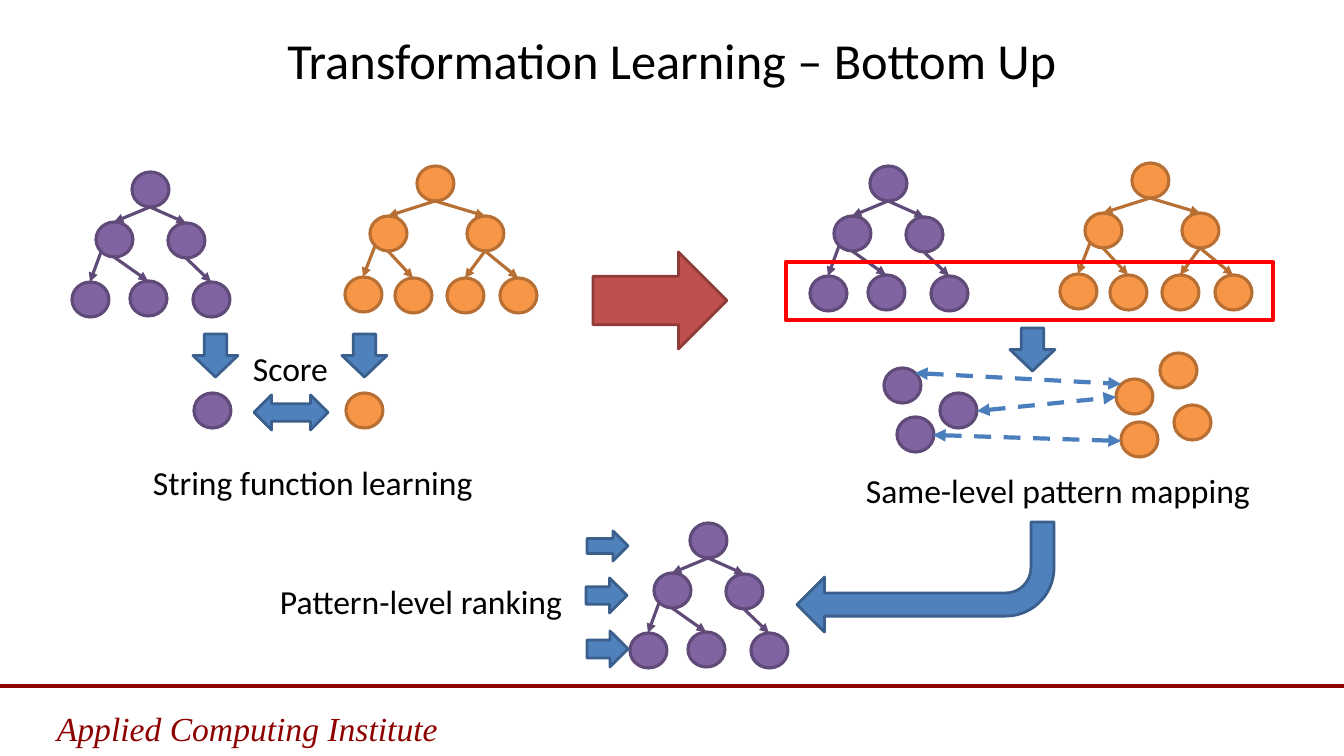
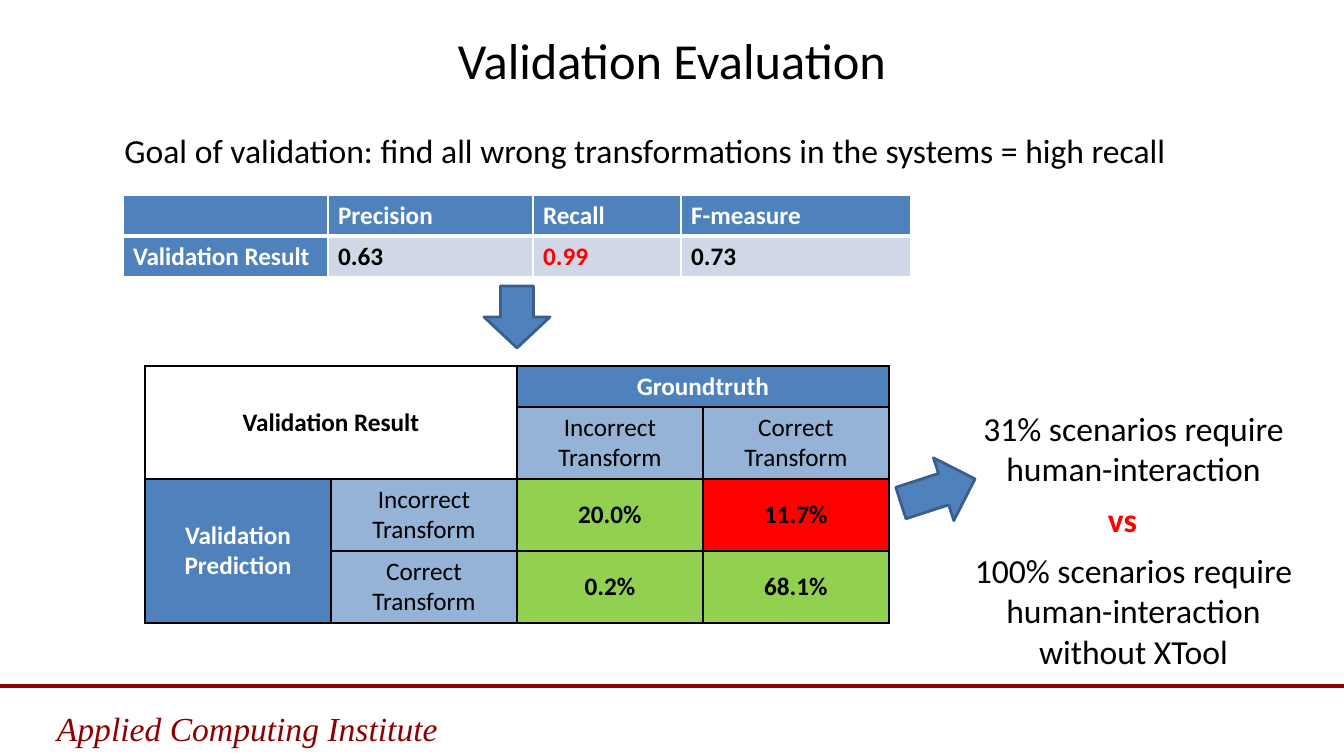
from lxml.etree import SubElement
from pptx import Presentation
from pptx.dml.color import RGBColor
from pptx.enum.dml import MSO_LINE
from pptx.enum.shapes import MSO_CONNECTOR, MSO_SHAPE as Preset
from pptx.enum.text import MSO_ANCHOR as Anchor, PP_ALIGN as Align
from pptx.oxml.ns import qn
from pptx.util import Pt

PX = 9071  # EMU per px
WIDTH, HEIGHT = 1344, 756
NODE_W, NODE_H = 37, 35
BLACK, WHITE, RED, MAROON = "000000", "FFFFFF", "FF0000", "8E0000"
PURPLE, ORANGE = ("8064A2", "5F4A78", 2.25), ("F79646", "B76F34", 2.25)
BLUE, BRICK = ("4F81BD", "3A5F8C", 2), ("C0504D", "8E3B39", 2)
DASH_BLUE = "4B7EBC"
rgb = RGBColor.from_string


def add_shape(slide, preset, box, look):
    """Draw a preset shape; look is fill (or None), line colour, line width."""
    shape = slide.shapes.add_shape(preset, *[n * PX for n in box])
    shape.shadow.inherit = False
    fill, line, width = look
    if fill:
        shape.fill.solid()
        shape.fill.fore_color.rgb = rgb(fill)
    else:
        shape.fill.background()
    shape.line.color.rgb = rgb(line)
    shape.line.width = Pt(width)
    return shape


def write(frame, text, size=24, color=BLACK, align=Align.LEFT,
          bold=False, italic=False, font="Calibri"):
    paragraph = frame.paragraphs[0]
    paragraph.alignment = align
    run = paragraph.add_run()
    run.text = text
    run.font.name = font
    run.font.size = Pt(size)
    run.font.bold = bold
    run.font.italic = italic
    run.font.color.rgb = rgb(color)


presentation = Presentation()
presentation.slide_width = WIDTH * PX
presentation.slide_height = HEIGHT * PX
blank = presentation.slide_layouts[6]
learning, evaluation = [presentation.slides.add_slide(blank) for _ in range(2)]

# Text boxes: slide, box, text, style
title_style = dict(size=36, align=Align.CENTER)
footer_style = dict(color=MAROON, italic=True, font="Times New Roman")
centred = dict(align=Align.CENTER)
texts = [
    (learning, (67, 24, 1210, 71), "Transformation Learning – Bottom Up", title_style),
    (learning, (856, 465, 430, 50), "Same-level pattern mapping", {}),
    (learning, (270, 576, 310, 50), "Pattern-level ranking", {}),
    (learning, (143, 457, 360, 50), "String function learning", {}),
    (learning, (243, 343, 110, 50), "Score", {}),
    (evaluation, (67, 24, 1210, 71), "Validation Evaluation", title_style),
    (evaluation, (84, 125, 1122, 50),
     "Goal of validation: find all wrong transformations in the systems = high recall",
     centred),
    (evaluation, (961, 403, 345, 92), "31% scenarios require human-interaction", centred),
    (evaluation, (950, 494, 345, 50), "vs", dict(centred, color=RED, bold=True)),
    (evaluation, (961, 545, 345, 132),
     "100% scenarios require human-interaction without XTool", centred),
]
for slide in (learning, evaluation):
    texts.append((slide, (47, 703, 662, 51), "Applied Computing Institute", footer_style))
for slide, box, text, style in texts:
    frame = slide.shapes.add_textbox(*[n * PX for n in box]).text_frame
    frame.word_wrap = True
    frame.vertical_anchor = Anchor.MIDDLE if style is title_style else Anchor.TOP
    write(frame, text, **style)

# Trees: node offsets from the root, then (parent, child) edges
purple_tree = (PURPLE,
               [(0, 0), (-36, 50), (36, 51), (-60, 110), (-2, 109), (61, 110)],
               [(0, 1), (0, 2), (1, 3), (1, 4), (2, 5)])
orange_tree = (ORANGE,
               [(0, 0), (-47, 50), (50, 50), (-72, 111), (-22, 112), (30, 112), (83, 112)],
               [(0, 1), (0, 2), (1, 3), (1, 4), (2, 5), (2, 6)])
roots = [(132, 172, purple_tree), (417, 166, orange_tree), (870, 166, purple_tree),
         (1132, 163, orange_tree), (690, 523, purple_tree)]

# Lines: slide, start, end, colour, width, arrowheads
lines = [(slide, (0, 686), (WIDTH, 686), MAROON, 2.25, ())
         for slide in (learning, evaluation)]
for root_x, root_y, (look, offsets, edges) in roots:
    nodes = [(root_x + dx, root_y + dy) for dx, dy in offsets]
    for x, y in nodes:
        add_shape(learning, Preset.OVAL, (x, y, NODE_W, NODE_H), look)
    for parent, child in edges:
        x, y = nodes[parent]
        # The outermost left edge leaves its parent from the lower left side
        start = (x + 5, y + 30) if child == 3 else (x + NODE_W // 2, y + NODE_H)
        end = (nodes[child][0] + NODE_W // 2, nodes[child][1])
        lines.append((learning, start, end, look[1], look[2], ("tailEnd",)))

lone_nodes = [
    (PURPLE, [(194, 393), (884, 368), (940, 393), (897, 417)]),
    (ORANGE, [(346, 393), (1116, 379), (1174, 405), (1121, 422), (1160, 353)]),
]
for look, places in lone_nodes:
    for x, y in places:
        add_shape(learning, Preset.OVAL, (x, y, NODE_W, NODE_H), look)

for start, end in [((977, 411), (1116, 397)), ((933, 435), (1121, 441)),
                   ((915, 373), (1121, 384))]:
    lines.append((learning, start, end, DASH_BLUE, 3, ("headEnd", "tailEnd")))

for slide, start, end, color, width, heads in lines:
    connector = slide.shapes.add_connector(
        MSO_CONNECTOR.STRAIGHT, *[n * PX for n in start + end])
    connector.line.color.rgb = rgb(color)
    connector.line.width = Pt(width)
    if color == DASH_BLUE:
        connector.line.dash_style = MSO_LINE.DASH
    properties = connector.element.spPr
    for head in heads:
        SubElement(properties.find(qn("a:ln")), qn("a:" + head), type="triangle")
    SubElement(properties, qn("a:effectLst"))

# Block arrows and the leaf-level frame
for preset, box, look in [
    (Preset.DOWN_ARROW, (193, 334, 45, 43), BLUE),
    (Preset.DOWN_ARROW, (342, 334, 45, 43), BLUE),
    (Preset.DOWN_ARROW, (1010, 328, 45, 43), BLUE),
    (Preset.LEFT_RIGHT_ARROW, (254, 395, 74, 35), BLUE),
    (Preset.RIGHT_ARROW, (593, 252, 134, 97), BRICK),
    (Preset.RIGHT_ARROW, (587, 531, 41, 30), BLUE),
    (Preset.RIGHT_ARROW, (586, 578, 41, 35), BLUE),
    (Preset.RIGHT_ARROW, (587, 631, 41, 36), BLUE),
    (Preset.RECTANGLE, (786, 262, 487, 58), (None, RED, 3)),
]:
    add_shape(learning, preset, box, look)

return_arrow = add_shape(learning, Preset.BENT_ARROW, (797, 522, 257, 110), BLUE)
return_arrow.rotation = 180
for index, value in enumerate((0.21, 0.25, 0.25, 0.44)):
    return_arrow.adjustments[index] = value

add_shape(evaluation, Preset.DOWN_ARROW, (484, 286, 66, 62), BLUE)
result_arrow = add_shape(evaluation, Preset.RIGHT_ARROW, (899, 458, 78, 66), BLUE)
result_arrow.rotation = 342

# Tables: cell styles are fill, text colour, bold
HEAD, SUB = ("4F81BD", WHITE, True), ("95B3D7", BLACK, False)
CORNER, GOOD, BAD = (WHITE, BLACK, True), ("92D050", BLACK, True), (RED, BLACK, True)
SCORE, TOP_SCORE = ("D0D8E8", BLACK, True), ("D0D8E8", RED, True)
scores = [
    [("", HEAD), ("Precision", HEAD), ("Recall", HEAD), ("F-measure", HEAD)],
    [("Validation Result", HEAD), ("0.63", SCORE), ("0.99", TOP_SCORE), ("0.73", SCORE)],
]
confusion = [
    [("Validation Result", CORNER), None, ("Groundtruth", HEAD), None],
    [None, None, ("Incorrect Transform", SUB), ("Correct Transform", SUB)],
    [("Validation Prediction", HEAD), ("Incorrect Transform", SUB),
     ("20.0%", GOOD), ("11.7%", BAD)],
    [None, ("Correct Transform", SUB), ("0.2%", GOOD), ("68.1%", GOOD)],
]
tables = [
    (scores, 123, 195, [205, 205, 148, 230], [41, 41], [], WHITE, 3, Align.LEFT),
    (confusion, 145, 366, [186] * 4, [41, 72, 72, 72],
     [(0, 0, 1, 1), (0, 2, 0, 3), (2, 0, 3, 0)], BLACK, 1, Align.CENTER),
]
for rows, left, top, widths, heights, merges, border, head_rule, align in tables:
    table = evaluation.shapes.add_table(
        len(rows), len(widths), left * PX, top * PX,
        sum(widths) * PX, sum(heights) * PX).table
    for column, width in zip(table.columns, widths):
        column.width = width * PX
    for row, height in zip(table.rows, heights):
        row.height = height * PX
    for first_row, first_column, last_row, last_column in merges:
        table.cell(first_row, first_column).merge(table.cell(last_row, last_column))
    for r, row in enumerate(rows):
        for c, content in enumerate(row):
            cell = table.cell(r, c)
            properties = cell._tc.get_or_add_tcPr()
            for side in ("lnL", "lnR", "lnT", "lnB"):
                under_head = (r, side) in ((0, "lnB"), (1, "lnT"))
                rule = SubElement(properties, qn("a:" + side),
                                  w=str(Pt(head_rule if under_head else 1)))
                SubElement(SubElement(rule, qn("a:solidFill")), qn("a:srgbClr"), val=border)
            if content is None:
                continue
            text, (fill, color, bold) = content
            cell.fill.solid()
            cell.fill.fore_color.rgb = rgb(fill)
            cell.vertical_anchor = Anchor.MIDDLE
            if text:
                write(cell.text_frame, text, 18, color, align, bold)

presentation.save("out.pptx")
